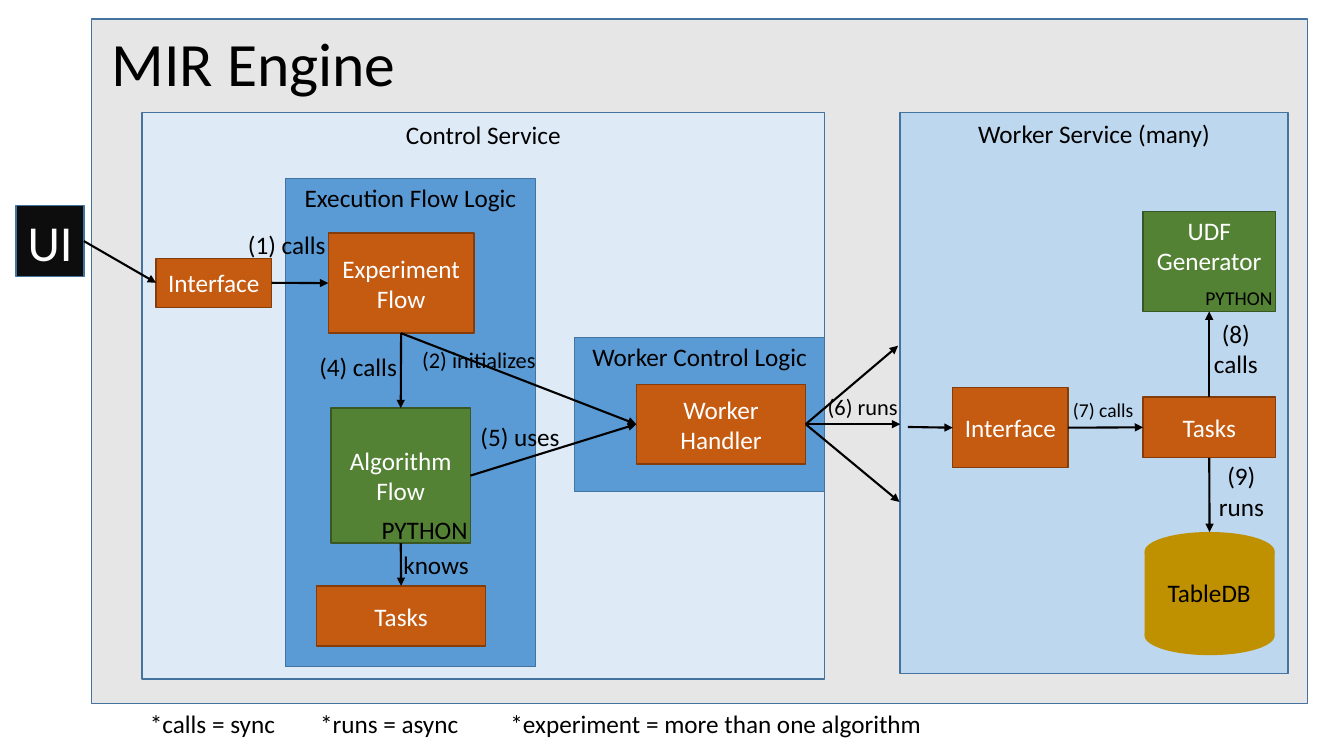
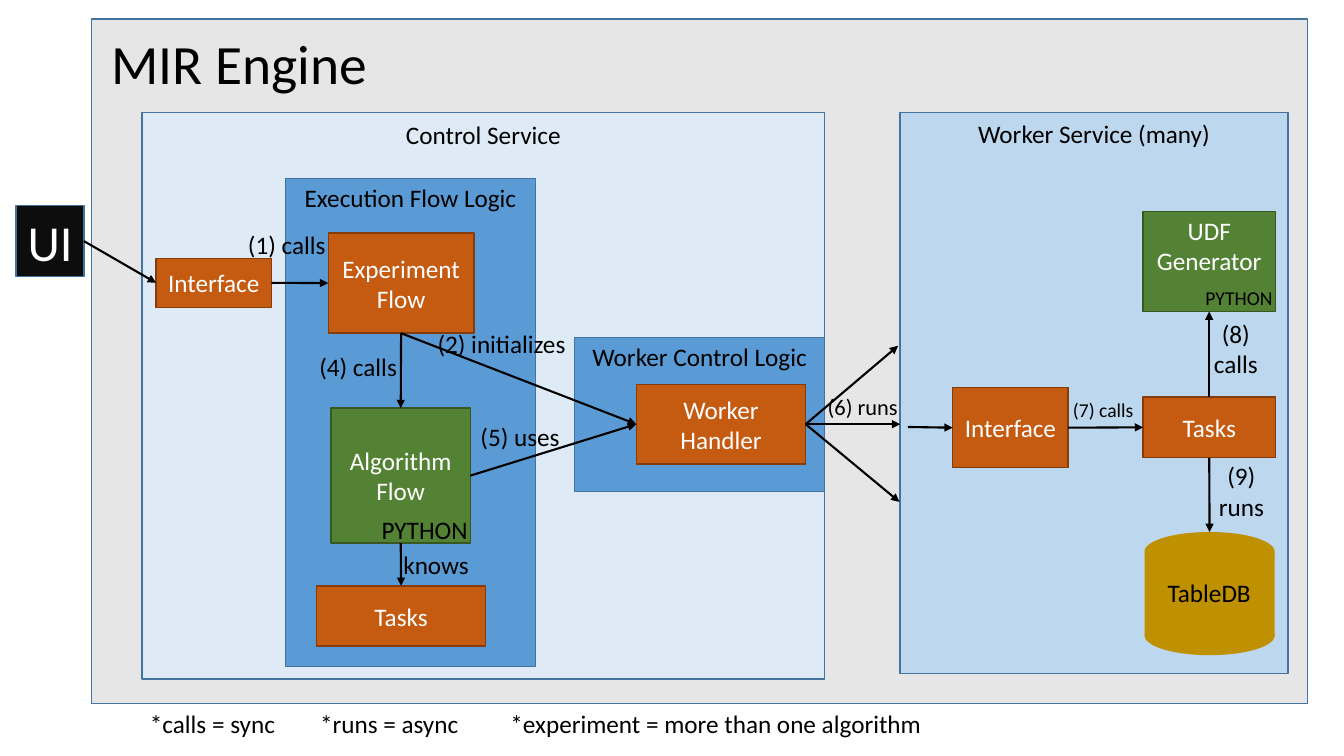
from lxml import etree
from pptx import Presentation
from pptx.dml.color import RGBColor
from pptx.enum.shapes import MSO_CONNECTOR, MSO_SHAPE
from pptx.enum.text import MSO_ANCHOR, MSO_AUTO_SIZE, PP_ALIGN
from pptx.oxml.ns import qn
from pptx.util import Pt

RECT, OVAL = MSO_SHAPE.RECTANGLE, MSO_SHAPE.OVAL
STRAIGHT = MSO_CONNECTOR.STRAIGHT
LEFT, CENTER = PP_ALIGN.LEFT, PP_ALIGN.CENTER
ANCHOR_TOP, MIDDLE = MSO_ANCHOR.TOP, MSO_ANCHOR.MIDDLE
NO_AUTOFIT = MSO_AUTO_SIZE.NONE
TOP_SITE, LEFT_SITE, BOTTOM_SITE, RIGHT_SITE = range(4)

FONT = "Calibri"
BLACK, WHITE = "000000", "FFFFFF"
BLUE_EDGE = "43739E"
GOLD = "BF9000"
ORANGE = ("C55A11", "843C0B")
GREEN = ("548235", "385723")
INK = ("0D0D0D", BLUE_EDGE)

PANELS = [
    ("E7E6E6", "", 0, 65.5, 13.5, 868.5, 489),
    ("DEEBF7", "Control Service", 4.5, 101.5, 80.5, 487.5, 404.5),
    ("5B9BD5", "Execution Flow Logic", 2.5, 204, 127.5, 178.5, 348.5),
    ("5B9BD5", "Worker Control Logic", 2.5, 410.5, 241, 178.5, 110),
    ("BDD7EE", "Worker Service (many)", 4, 643, 80.5, 277, 400.5),
]
BOXES = [
    ("ui", "UI", INK, 36, MIDDLE, 11.5, 147, 48.5, 50.5),
    ("interface", "Interface", ORANGE, 18, MIDDLE, 111.5, 184.5, 82.5, 35),
    ("experiment", "Experiment Flow", ORANGE, 18, MIDDLE, 234.5, 166.5, 104, 71.5),
    ("handler", "Worker Handler", ORANGE, 18, MIDDLE, 454.5, 274.5, 121, 57),
    ("algorithm", "Algorithm Flow", GREEN, 18, MIDDLE, 236.5, 291.5, 99.5, 96.5),
    ("flow tasks", "Tasks", ORANGE, 18, MIDDLE, 226, 418.5, 121, 43),
    ("udf", "UDF Generator", GREEN, 18, ANCHOR_TOP, 816.5, 151, 94.5, 71.5),
    ("worker interface", "Interface", ORANGE, 18, MIDDLE, 680.5, 277, 82.5, 57),
    ("worker tasks", "Tasks", ORANGE, 18, MIDDLE, 816.5, 283.5, 94.5, 43.5),
]
DATABASE = [(RECT, 394, 60), (OVAL, 440, 28), (OVAL, 380, 28)]
ARROWS = [
    ("ui", RIGHT_SITE, "interface", LEFT_SITE),
    ("interface", RIGHT_SITE, "experiment", LEFT_SITE),
    ("experiment", BOTTOM_SITE, "handler", LEFT_SITE),
    ("experiment", BOTTOM_SITE, "algorithm", TOP_SITE),
    ("algorithm", RIGHT_SITE, "handler", LEFT_SITE),
    ("algorithm", BOTTOM_SITE, "flow tasks", TOP_SITE),
    ("worker interface", RIGHT_SITE, "worker tasks", LEFT_SITE),
    ("worker tasks", TOP_SITE, "udf", BOTTOM_SITE),
    ("worker tasks", BOTTOM_SITE, "database", TOP_SITE),
    ("handler", RIGHT_SITE, (641.5, 247), None),
    ("handler", RIGHT_SITE, (643, 303), None),
    ("handler", RIGHT_SITE, (642.5, 358.5), None),
    ((648.5, 305), None, "worker interface", LEFT_SITE),
]
LABELS = [
    ("(1) calls", 18, LEFT, 170, 160, 70.5, 29),
    ("(4) calls", 18, LEFT, 221, 247.5, 70.5, 29),
    ("(5) uses", 18, CENTER, 335.5, 297.5, 72, 29),
    ("PYTHON", 18, LEFT, 265.5, 363.5, 76.5, 29),
    ("knows", 18, LEFT, 281, 389, 62, 29),
    ("(6) runs", 16, CENTER, 576, 277, 80.5, 26.5),
    ("(7) calls", 14, CENTER, 755.5, 281, 65, 24.5),
    ("(8) calls", 18, CENTER, 854, 224, 57.5, 51),
    ("(9) runs", 18, CENTER, 858, 325.5, 57.5, 51),
    ("PYTHON", 14, LEFT, 854, 201, 67, 24.5),
    ("TableDB", 18, CENTER, 821, 408.5, 85.5, 29),
    ("*calls = sync", 18, LEFT, 100, 502.5, 102.5, 29),
    ("*runs = async", 18, LEFT, 221.5, 502.5, 112, 29),
    ("*experiment = more than one algorithm", 18, LEFT, 357.5, 502.5, 306.5, 29),
]
SLIDES = [
    (44, 443, ("(2) initializes", 16, LEFT, 294.5, 243.5, 96.5, 26.5)),
    (39.6, 203, ("(2) initializes", 18, LEFT, 305.5, 231, 107.5, 29)),
]


def rgb(value):
    return RGBColor.from_string(value)


def write(sp, text, size, color=BLACK, align=CENTER, anchor=ANCHOR_TOP, inset=3.6):
    tf = sp.text_frame
    tf.auto_size = NO_AUTOFIT
    tf.word_wrap = align == CENTER
    tf.vertical_anchor = anchor
    tf.margin_top = tf.margin_bottom = Pt(inset)
    p = tf.paragraphs[0]
    p.alignment = align
    r = p.add_run()
    r.text = text
    r.font.name = FONT
    r.font.size = Pt(size)
    r.font.color.rgb = rgb(color)
    return p


prs = Presentation()
prs.slide_width, prs.slide_height = Pt(960), Pt(540)

for title_size, title_width, initializes in SLIDES:
    s = prs.slides.add_slide(prs.slide_layouts[5])

    title = s.shapes.title
    title.left, title.top = Pt(72.5), Pt(19.5)
    title.width, title.height = Pt(title_width), Pt(55.5)
    write(title, "MIR Engine", title_size, align=LEFT, anchor=MIDDLE).line_spacing = 0.9

    for fill, text, inset, *frame in PANELS:
        sp = s.shapes.add_shape(RECT, *map(Pt, frame))
        sp.shadow.inherit = False
        sp.fill.solid()
        sp.fill.fore_color.rgb = rgb(fill)
        sp.line.color.rgb = rgb(BLUE_EDGE)
        sp.line.width = Pt(1)
        if text:
            write(sp, text, 18, inset=inset)
    sp.element.addnext(title.element)

    nodes = {}
    for name, text, (fill, edge), size, anchor, *frame in BOXES:
        sp = s.shapes.add_shape(RECT, *map(Pt, frame))
        sp.shadow.inherit = False
        sp.fill.solid()
        sp.fill.fore_color.rgb = rgb(fill)
        sp.line.color.rgb = rgb(edge)
        sp.line.width = Pt(1)
        write(sp, text, size, WHITE, anchor=anchor, inset=2.5)
        nodes[name] = sp

    for shape, top, height in DATABASE:
        sp = s.shapes.add_shape(shape, Pt(817.5), Pt(top), Pt(93), Pt(height))
        sp.shadow.inherit = False
        sp.fill.solid()
        sp.fill.fore_color.rgb = rgb(GOLD)
        sp.line.fill.background()
    nodes["database"] = sp

    for start, start_site, end, end_site in ARROWS:
        begin_at = (0, 0) if start in nodes else start
        end_at = (0, 0) if end in nodes else end
        line = s.shapes.add_connector(STRAIGHT, *map(Pt, begin_at + end_at))
        if start in nodes:
            line.begin_connect(nodes[start], start_site)
        if end in nodes:
            line.end_connect(nodes[end], end_site)
        line.line.color.rgb = rgb(BLACK)
        line.line.width = Pt(1.5)
        etree.SubElement(line.line._get_or_add_ln(), qn("a:tailEnd"), type="triangle")
        etree.SubElement(line.element.spPr, qn("a:effectLst"))

    for text, size, align, *frame in LABELS + [initializes]:
        write(s.shapes.add_textbox(*map(Pt, frame)), text, size, align=align)

prs.save("out.pptx")
